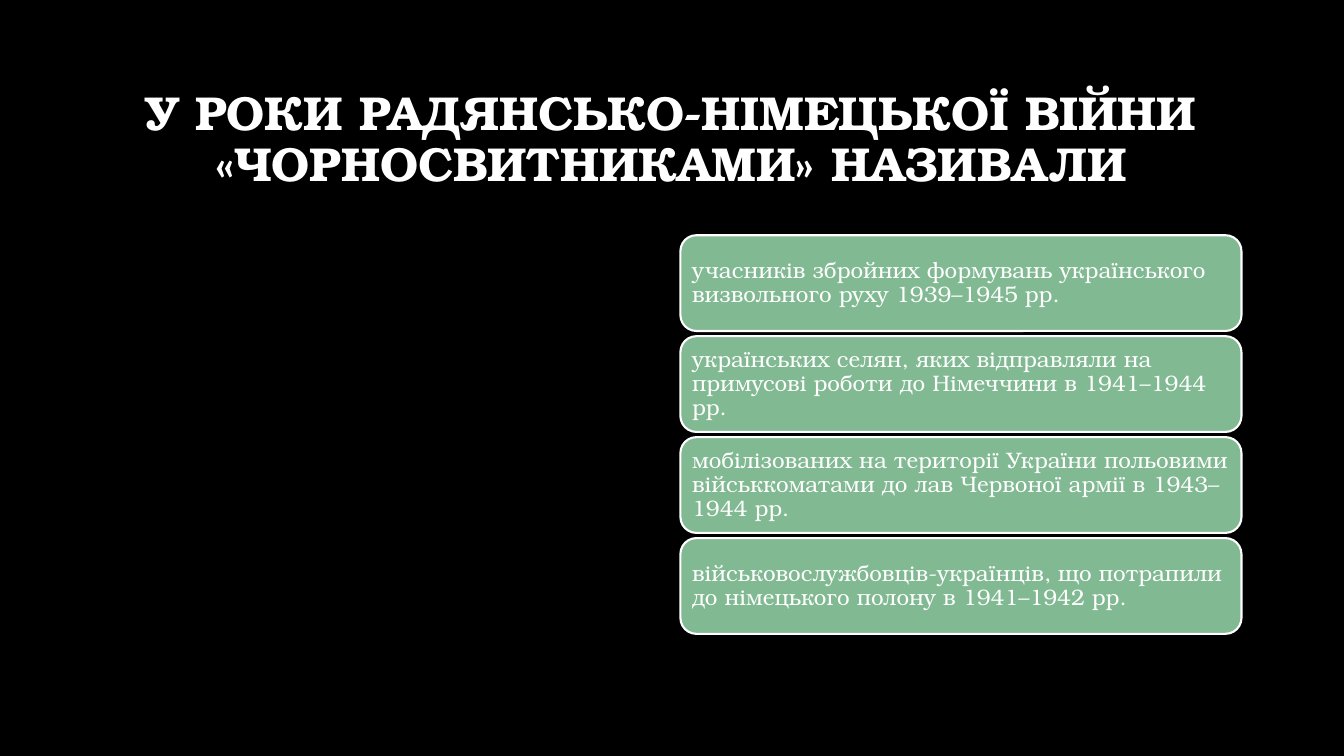
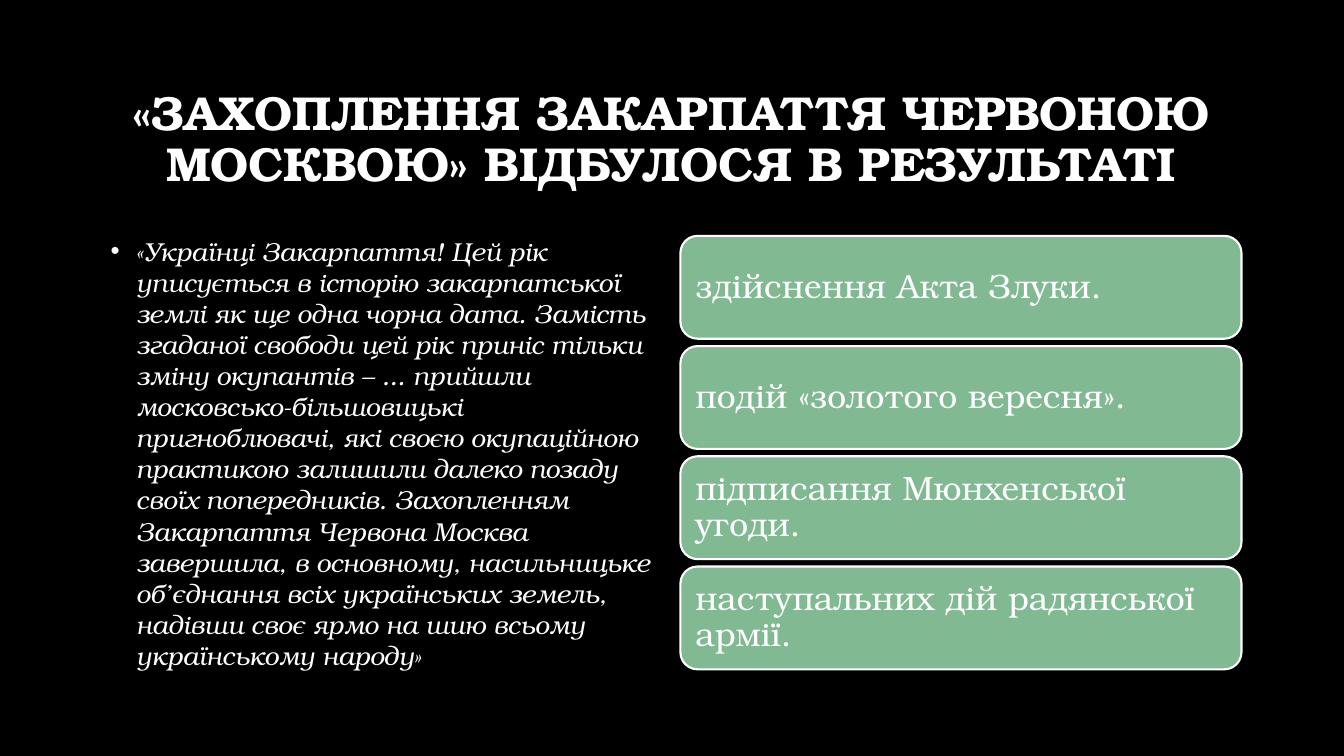
from dataclasses import dataclass

from lxml import etree
from pptx import Presentation
from pptx import util as u
from pptx.dml.color import RGBColor
from pptx.enum import shapes, text
from pptx.oxml.ns import qn

COLS, ROWS = 160, 90
WIDE, HIGH = u.Inches(13.3333), u.Inches(7.5)
FONT = "TeX Gyre Bonum"
HUES = {"back": "000000", "ink": "FFFFFF", "card": "81B992"}


@dataclass
class Box:
    """Place and size in grid columns and rows."""

    col: float
    row: float
    cols: float
    rows: float

    def span(self) -> list[int]:
        """Return left, top, width and height in slide units."""
        return [
            round(WIDE * self.col / COLS),
            round(HIGH * self.row / ROWS),
            round(WIDE * self.cols / COLS),
            round(HIGH * self.rows / ROWS),
        ]


@dataclass
class Stack:
    """Column of answer cards with one size and step."""

    top: float
    rows: float
    step: float
    size: float
    inset: float
    items: list[str]


@dataclass
class Quiz:
    """Question with its answers and an optional quote."""

    title: str
    stack: Stack
    quote: str = ""


TITLE = Box(12, 8, 135.8, 17.4)
QUOTE = Box(12, 27.4, 67, 53)
CARD_COL, CARD_COLS = 81, 66.8

QUIZZES = [
    Quiz(
        "У РОКИ РАДЯНСЬКО-НІМЕЦЬКОЇ ВІЙНИ «ЧОРНОСВИТНИКАМИ» НАЗИВАЛИ",
        Stack(28, 11.4, 12.02, 16, 0.07, [
            "учасників збройних формувань українського визвольного руху 1939–1945 рр.",
            "українських селян, яких відправляли на примусові роботи до Німеччини "
            "в 1941–1944 рр.",
            "мобілізованих на території України польовими військкоматами "
            "до лав Червоної армії в 1943–1944 рр.",
            "військовослужбовців-українців, що потрапили до німецького полону "
            "в 1941–1942 рр.",
        ]),
    ),
    Quiz(
        "«ЗАХОПЛЕННЯ ЗАКАРПАТТЯ ЧЕРВОНОЮ МОСКВОЮ» ВІДБУЛОСЯ В РЕЗУЛЬТАТІ",
        Stack(28.08, 12.24, 13.12, 24, 0.1, [
            "здійснення Акта Злуки.",
            "подій «золотого вересня».",
            "підписання Мюнхенської угоди.",
            "наступальних дій радянської армії.",
        ]),
        "«Українці Закарпаття! Цей рік уписується в історію закарпатської землі "
        "як ще одна чорна дата. Замість згаданої свободи цей рік приніс тільки "
        "зміну окупантів – ... прийшли московсько-більшовицькі пригноблювачі, "
        "які своєю окупаційною практикою залишили далеко позаду своїх "
        "попередників. Захопленням Закарпаття Червона Москва завершила, "
        "в основному, насильницьке об’єднання всіх українських земель, надівши "
        "своє ярмо на шию всьому українському народу»",
    ),
]


def hue(name: str) -> RGBColor:
    """Return a named colour."""
    return RGBColor.from_string(HUES[name])


def write(shape, words: str, *, size: float, bold: bool = False,
          slant: bool = False, mid: bool = True, center: bool = False,
          lead: float = 0.9, inset: float | None = None,
          dot: bool = False) -> None:
    """Fill a shape with one formatted paragraph."""
    frame = shape.text_frame
    frame.word_wrap = True
    anchor = text.MSO_ANCHOR
    frame.vertical_anchor = anchor.MIDDLE if mid else anchor.TOP
    if inset is not None:
        for side in ("left", "top", "right", "bottom"):
            setattr(frame, f"margin_{side}", u.Inches(inset))
    para = frame.paragraphs[0]
    para.text = words
    para.alignment = text.PP_ALIGN.CENTER if center else text.PP_ALIGN.LEFT
    para.line_spacing = lead
    if dot:
        props = para._p.get_or_add_pPr()
        props.set("marL", str(u.Inches(0.25)))
        props.set("indent", str(u.Inches(-0.25)))
        face = etree.SubElement(props, qn("a:buFont"))
        face.set("typeface", "Arial")
        etree.SubElement(props, qn("a:buChar")).set("char", "•")
    font = para.runs[0].font
    font.name, font.size = FONT, u.Pt(size)
    font.bold, font.italic = bold, slant
    font.color.rgb = hue("ink")


def card(slide, box: Box, words: str, size: float, inset: float) -> None:
    """Draw one rounded answer card."""
    shape = slide.shapes.add_shape(
        shapes.MSO_SHAPE.ROUNDED_RECTANGLE, *box.span())
    shape.shadow.inherit = False
    shape.fill.solid()
    shape.fill.fore_color.rgb = hue("card")
    shape.line.color.rgb = hue("ink")
    shape.line.width = u.Pt(1.5)
    write(shape, words, size=size, inset=inset)


def draw(deck, quiz: Quiz) -> None:
    """Add a slide for one question."""
    slide = deck.slides.add_slide(deck.slide_layouts[6])
    head = slide.shapes.add_textbox(*TITLE.span())
    write(head, quiz.title, size=34, bold=True, center=True)
    if quiz.quote:
        body = slide.shapes.add_textbox(*QUOTE.span())
        write(body, quiz.quote, size=18.5, slant=True, mid=False,
              lead=1.0, dot=True)
    stack = quiz.stack
    for i, item in enumerate(stack.items):
        box = Box(CARD_COL, stack.top + i * stack.step, CARD_COLS, stack.rows)
        card(slide, box, item, stack.size, stack.inset)


def main() -> None:
    """Build and save the deck."""
    deck = Presentation()
    deck.slide_width, deck.slide_height = WIDE, HIGH
    fill = deck.slide_master.background.fill
    fill.solid()
    fill.fore_color.rgb = hue("back")
    for quiz in QUIZZES:
        draw(deck, quiz)
    deck.save("out.pptx")


if __name__ == "__main__":
    main()
